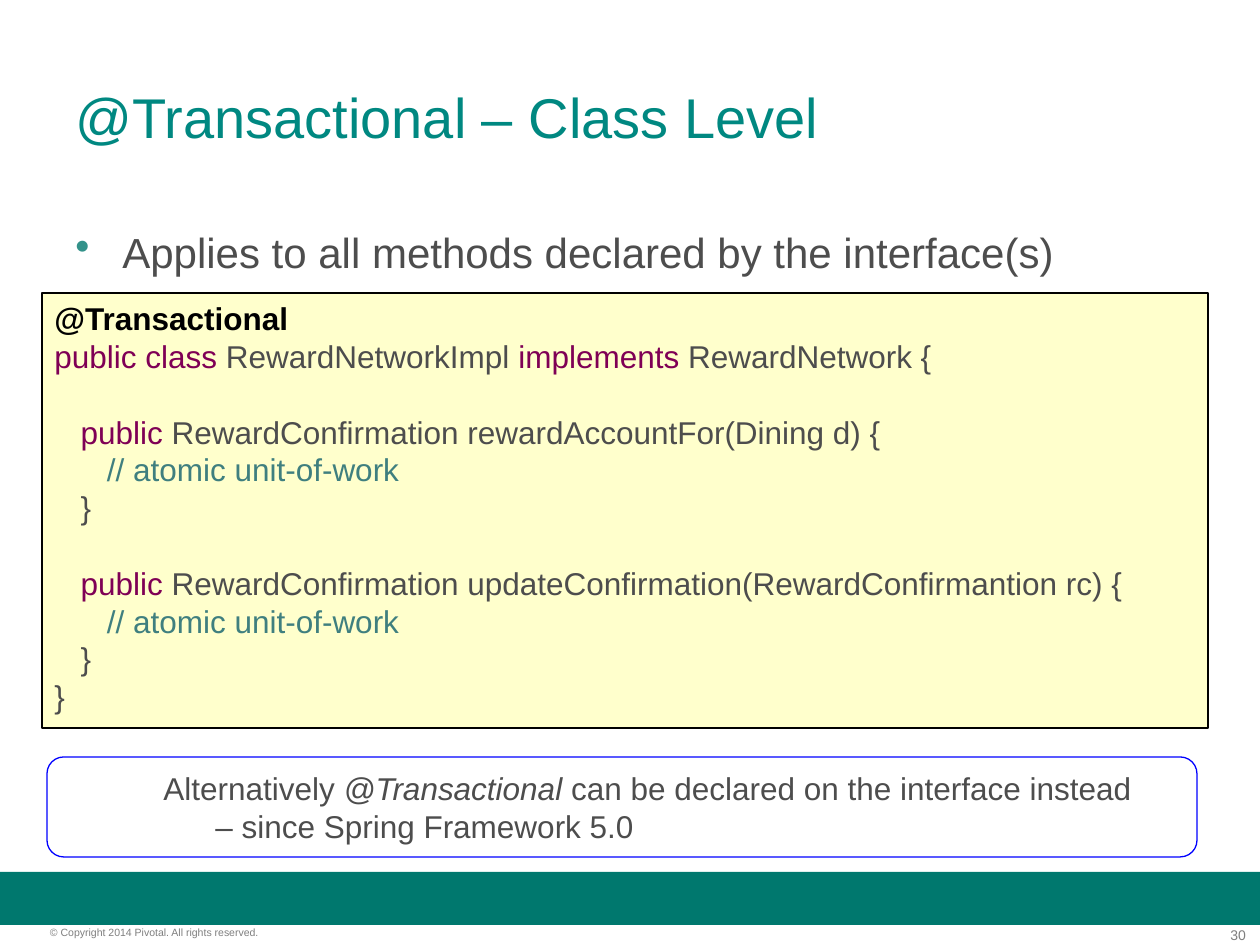
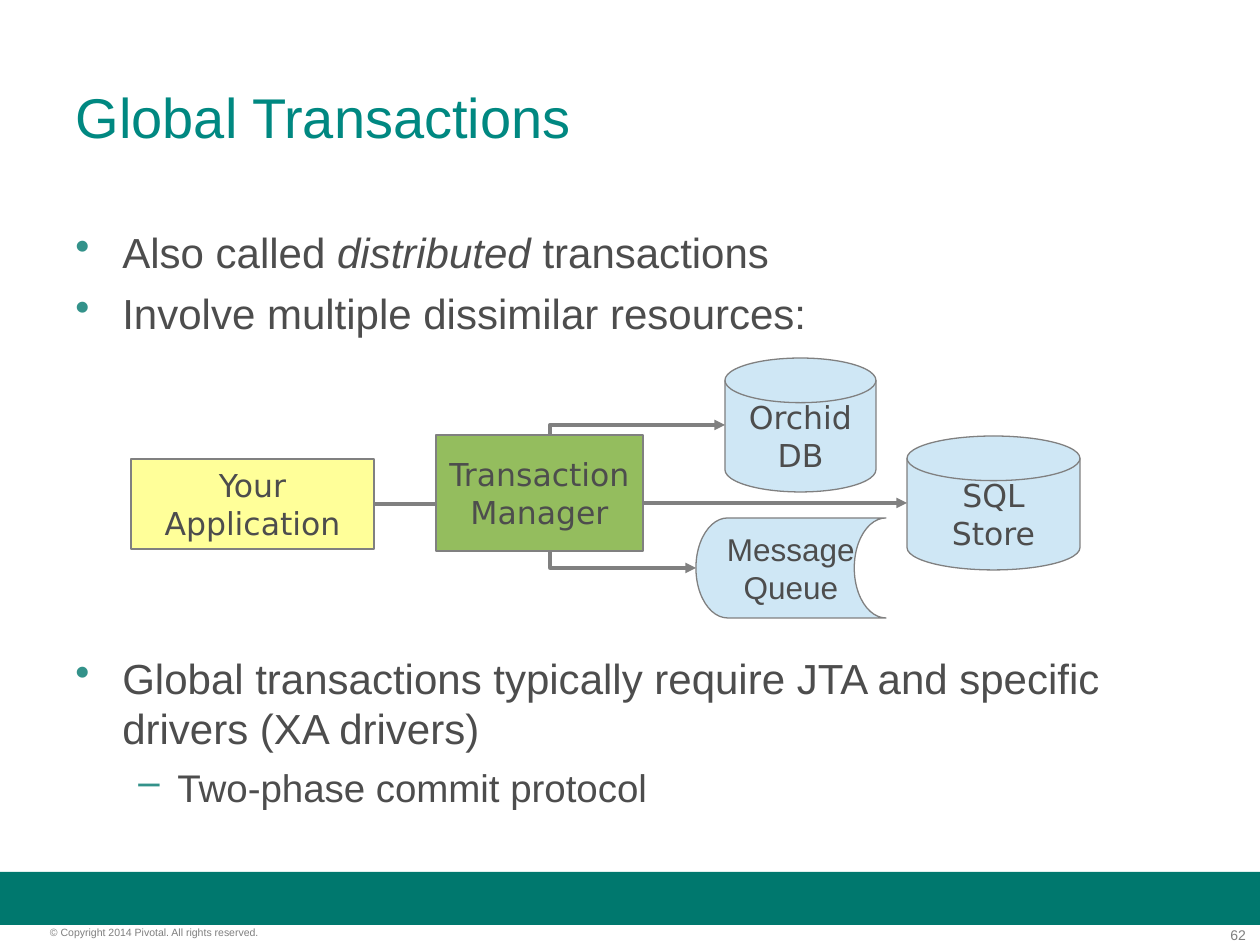
from lxml import etree
from pptx import Presentation
from pptx.dml.color import RGBColor
from pptx.enum.shapes import MSO_CONNECTOR, MSO_SHAPE
from pptx.enum.text import MSO_ANCHOR, PP_ALIGN
from pptx.oxml.ns import qn
from pptx.util import Pt

EMU_PER_PX = 914400 / 126
TITLE_ONLY = 5
LINE_HEIGHT = 1.2
SANS, WIDE_SANS = "Arial", "DejaVu Sans"
LEFT, CENTER, RIGHT = PP_ALIGN.LEFT, PP_ALIGN.CENTER, PP_ALIGN.RIGHT
TOP, MIDDLE = MSO_ANCHOR.TOP, MSO_ANCHOR.MIDDLE
RECTANGLE, ROUNDED = MSO_SHAPE.RECTANGLE, MSO_SHAPE.ROUNDED_RECTANGLE
DISK, STORAGE = MSO_SHAPE.FLOWCHART_MAGNETIC_DISK, MSO_SHAPE.FLOWCHART_STORED_DATA
ELBOW = MSO_CONNECTOR.ELBOW

COLORS = {
    "band": "00786E", "title": "008881", "bullet": "33928A", "text": "4D4D4D",
    "footer": "7F7F7F", "black": "000000", "keyword": "7F0055",
    "comment": "3F7F7F", "code_fill": "FFFFCC", "note_line": "0000FF",
    "outline": "808080", "application": "FFFF99", "manager": "94BD5E",
    "resource": "CFE7F5",
}
TITLE_BOX = (63, 38, 1134, 157)
BAND_BOX = (0, 872, 1260, 53)
NUMBER_BOX = (1173, 926, 73, 16)
COPYRIGHT_BOX = (50, 926, 314, 13)
COPYRIGHT = "© Copyright 2014 Pivotal. All rights reserved."

# Bullet levels: character, left margin px, hanging px, text size
LEVELS = [("•", 47, 47, 24), ("–", 102, 39, 22)]

BLANK = []
UNIT_OF_WORK = [("      // atomic unit-of-work", "comment")]
METHOD_END = [("   }", "text")]
CODE_LINES = [
    [("@Transactional", "black", {"bold": True})],
    [("public class", "keyword"), (" RewardNetworkImpl ", "text"),
     ("implements", "keyword"), (" RewardNetwork {", "text")],
    BLANK,
    [("   public", "keyword"),
     (" RewardConfirmation rewardAccountFor(Dining d) {", "text")],
    UNIT_OF_WORK,
    METHOD_END,
    BLANK,
    [("   public", "keyword"),
     (" RewardConfirmation updateConfirmation(RewardConfirmantion rc) {", "text")],
    UNIT_OF_WORK,
    METHOD_END,
    [("}", "text")],
]


def px(length):
    return round(length * EMU_PER_PX)


def color(name):
    return RGBColor.from_string(COLORS[name])


def plain(text, color_name="text"):
    return [(text, color_name)]


def format_frame(frame, anchor=TOP, inset=True, wrap=True):
    horizontal, vertical = (px(12.6), px(6.3)) if inset else (0, 0)
    settings = {
        "word_wrap": wrap, "vertical_anchor": anchor,
        "margin_left": horizontal, "margin_right": horizontal,
        "margin_top": vertical, "margin_bottom": vertical,
    }
    for name, value in settings.items():
        setattr(frame, name, value)


def add_paragraph(frame, segments, size, font=SANS, align=LEFT, before=0):
    """Fill the frame's empty first paragraph, or append a new one."""
    paragraph = frame.paragraphs[0]
    if paragraph.runs:
        paragraph = frame.add_paragraph()
        paragraph.space_before = Pt(before)
    else:
        paragraph.space_before = Pt(0)
    paragraph.alignment = align
    paragraph.line_spacing = Pt(round(size * LINE_HEIGHT, 1))
    for text, color_name, *style in segments:
        run = paragraph.add_run()
        run.text = text
        run.font.color.rgb = color(color_name)
        settings = {"name": font, "size": Pt(size), "bold": False, "italic": False}
        for extra in style:
            settings.update(extra)
        for name, value in settings.items():
            setattr(run.font, name, value)
    return paragraph


def add_text_box(slide, box, **frame_format):
    frame = slide.shapes.add_textbox(*map(px, box)).text_frame
    format_frame(frame, **frame_format)
    return frame


def add_shape(slide, kind, box, fill=None, line=None, width=0):
    shape = slide.shapes.add_shape(kind, *map(px, box))
    shape.shadow.inherit = False
    if fill:
        shape.fill.solid()
        shape.fill.fore_color.rgb = color(fill)
    else:
        shape.fill.background()
    if line:
        shape.line.color.rgb = color(line)
        shape.line.width = Pt(width)
    else:
        shape.line.fill.background()
    return shape


def add_bullet(frame, segments, level=0, before=6):
    character, margin, hanging, size = LEVELS[level]
    paragraph = add_paragraph(frame, segments, size, before=before)
    paragraph.level = level
    properties = paragraph._p.get_or_add_pPr()
    properties.set("marL", str(px(margin)))
    properties.set("indent", str(-px(hanging)))
    bullet_color = etree.SubElement(properties, qn("a:buClr"))
    etree.SubElement(bullet_color, qn("a:srgbClr"), val=COLORS["bullet"])
    etree.SubElement(properties, qn("a:buChar"), char=character)


def add_base_slide(presentation, title, number):
    """Add a slide with the shared title, band and footer."""
    slide = presentation.slides.add_slide(presentation.slide_layouts[TITLE_ONLY])
    placeholder = slide.shapes.title
    for name, length in zip(("left", "top", "width", "height"), TITLE_BOX):
        setattr(placeholder, name, px(length))
    format_frame(placeholder.text_frame, anchor=MIDDLE)
    add_paragraph(placeholder.text_frame, plain(title, "title"), 32)
    add_shape(slide, RECTANGLE, BAND_BOX, "band")
    footers = [(NUMBER_BOX, str(number), 8, RIGHT), (COPYRIGHT_BOX, COPYRIGHT, 6, LEFT)]
    for box, text, size, align in footers:
        frame = add_text_box(slide, box, inset=False)
        add_paragraph(frame, plain(text, "footer"), size, align=align)
    return slide


def add_code(slide, box, lines, size=18):
    frame = add_shape(slide, RECTANGLE, box, "code_fill", "black", 1).text_frame
    format_frame(frame)
    gap = 0
    for segments in lines:
        if segments:
            add_paragraph(frame, segments, size, before=gap)
            gap = 0
        else:
            gap = round(size * LINE_HEIGHT, 1)


def add_note(slide, box):
    left, top, width, height = box
    add_shape(slide, ROUNDED, box, line="note_line")
    frame = add_text_box(slide, (left + 104, top + 6, width - 117, height - 11))
    add_paragraph(frame, [
        ("Alternatively ", "text"),
        ("@Transactional", "text", {"italic": True}),
        (" can be declared on the interface instead", "text"),
    ], 18)
    second = add_paragraph(frame, plain("– since Spring Framework 5.0"), 18)
    second._p.get_or_add_pPr().set("marL", str(px(52)))


def add_node(slide, kind, box, fill, lines, font=WIDE_SANS):
    frame = add_shape(slide, kind, box, fill, "outline").text_frame
    format_frame(frame, anchor=MIDDLE, wrap=kind == RECTANGLE)
    for line in lines:
        add_paragraph(frame, plain(line), 18, font, CENTER)


def add_elbow_arrow(slide, start, end, turn_x):
    connector = slide.shapes.add_connector(ELBOW, *map(px, start + end))
    connector.line.color.rgb = color("outline")
    connector.line.width = Pt(0)
    properties = connector._element.spPr
    guides = properties.find(qn("a:prstGeom")).get_or_add_avLst()
    turn = round((turn_x - start[0]) / (end[0] - start[0]) * 100000)
    etree.SubElement(guides, qn("a:gd"), name="adj1", fmla=f"val {turn}")
    etree.SubElement(connector.line._get_or_add_ln(), qn("a:tailEnd"), type="triangle")
    etree.SubElement(properties, qn("a:effectLst"))


def add_transaction_diagram(slide, left, top):
    """Draw the application reaching each resource through the manager."""
    def place(x, y, width, height):
        return left + x, top + y, width, height

    application = place(0, 101, 243, 90)
    start = (application[0] + application[2], application[1] + application[3] // 2)
    resources = [
        (DISK, place(594, 0, 151, 134), ["Orchid", "DB"], WIDE_SANS),
        (DISK, place(776, 78, 173, 134), ["SQL", "Store"], WIDE_SANS),
        (STORAGE, place(565, 160, 190, 100), ["Message", "Queue"], SANS),
    ]
    add_node(slide, RECTANGLE, application, "application", ["Your", "Application"])
    for kind, box, lines, font in resources:
        add_node(slide, kind, box, "resource", lines, font)
        end = (box[0], box[1] + box[3] // 2)
        add_elbow_arrow(slide, start, end, left + 419)
    add_node(slide, RECTANGLE, place(305, 77, 207, 116), "manager",
             ["Transaction", "Manager"])


def build_class_level(presentation):
    slide = add_base_slide(presentation, "@Transactional – Class Level", 30)
    add_code(slide, (42, 293, 1166, 435), CODE_LINES)
    body = add_text_box(slide, (63, 220, 1134, 624))
    add_bullet(body, plain("Applies to all methods declared by the interface(s)"))
    add_note(slide, (47, 757, 1150, 100))


def build_global_transactions(presentation):
    slide = add_base_slide(presentation, "Global Transactions", 62)
    body = add_text_box(slide, (63, 220, 1134, 658))
    add_bullet(body, [
        ("Also called ", "text"),
        ("distributed", "text", {"italic": True}),
        (" transactions", "text"),
    ])
    add_bullet(body, plain("Involve multiple dissimilar resources:"))
    add_bullet(body, plain("Global transactions typically require JTA and specific "
                           "drivers (XA drivers)"), before=180)
    add_bullet(body, plain("Two-phase commit protocol"), level=1)
    add_transaction_diagram(slide, 131, 358)


def main():
    presentation = Presentation()
    presentation.slide_width = px(1260)
    presentation.slide_height = px(945)
    build_class_level(presentation)
    build_global_transactions(presentation)
    presentation.save("out.pptx")


if __name__ == "__main__":
    main()
